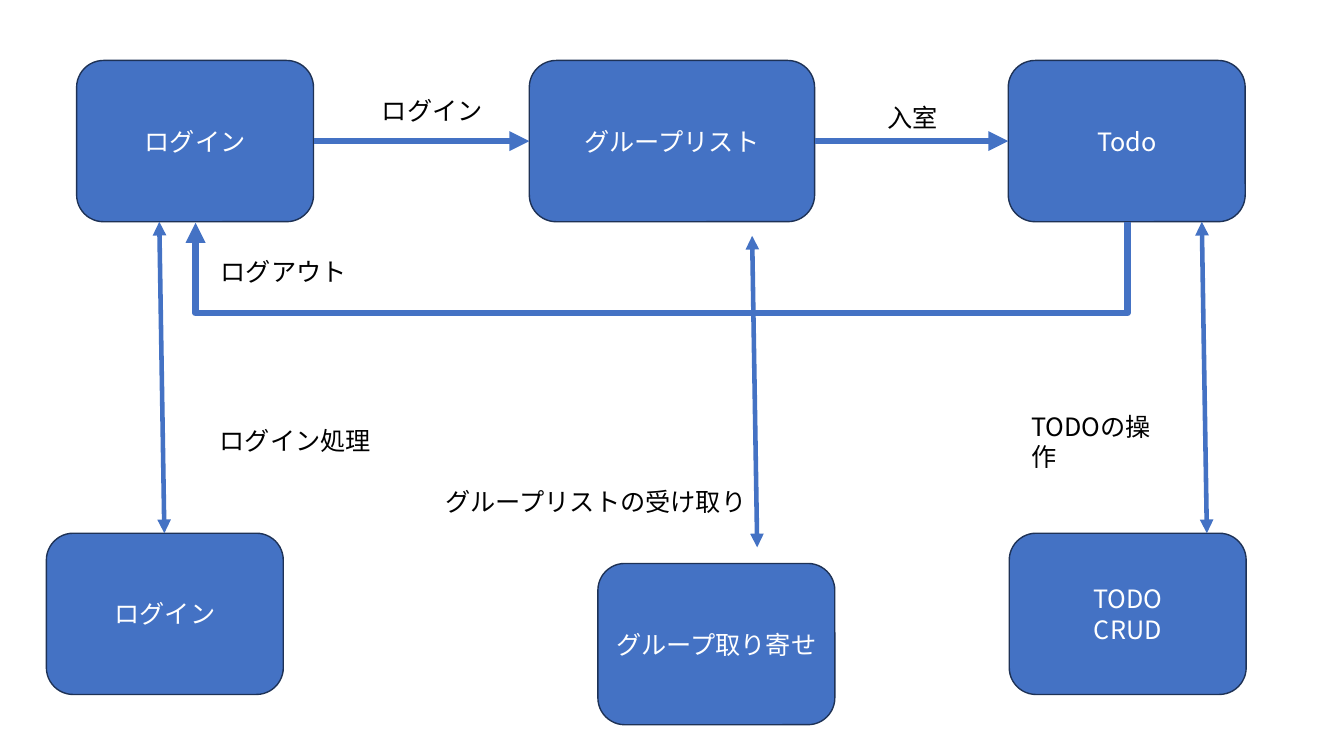
import pptx
import pptx.dml.color
import pptx.enum.shapes
import pptx.enum.text
import pptx.oxml
import pptx.oxml.ns
import pptx.util

BLUE = pptx.dml.color.RGBColor(0x44, 0x72, 0xC4)
NAVY = pptx.dml.color.RGBColor(0x1E, 0x32, 0x56)
WHITE = pptx.dml.color.RGBColor(0xFF, 0xFF, 0xFF)
BLACK = pptx.dml.color.RGBColor(0, 0, 0)
FONT = "Noto Sans CJK JP"
CONNECTOR = pptx.enum.shapes.MSO_CONNECTOR
TOP, LEFT, BOTTOM, RIGHT = range(4)  # connection sites of a box


def cells(count):
    """Length of a number of grid cells; ten cells to the inch."""
    return pptx.util.Inches(count / 10)


def write(frame, text, color=BLACK, size=18, centred=False, wrap=False):
    frame.word_wrap = wrap
    frame.text = text
    paragraph = frame.paragraphs[0]
    if centred:
        paragraph.alignment = pptx.enum.text.PP_ALIGN.CENTER
        frame.vertical_anchor = pptx.enum.text.MSO_ANCHOR.MIDDLE
    for run in paragraph.runs:
        run.font.size = pptx.util.Pt(size)
        run.font.name = FONT
        run.font.color.rgb = color
        east_asian = pptx.oxml.parse_xml(
            f'<a:ea {pptx.oxml.ns.nsdecls("a")} typeface="{FONT}"/>')
        run.font._element.find(pptx.oxml.ns.qn("a:latin")).addnext(east_asian)


class FlowSlide:
    BOX_WIDTH, BOX_HEIGHT = 23.5, 16
    FLOW_WEIGHT, CALL_WEIGHT = 4.75, 3.25

    def __init__(self, slide):
        self.slide = slide

    def box(self, text, col, row, width=BOX_WIDTH):
        shape = self.slide.shapes.add_shape(
            pptx.enum.shapes.MSO_SHAPE.ROUNDED_RECTANGLE,
            cells(col), cells(row), cells(width), cells(self.BOX_HEIGHT))
        shape.shadow.inherit = False
        shape.fill.solid()
        shape.fill.fore_color.rgb = BLUE
        shape.line.color.rgb = NAVY
        shape.line.width = pptx.util.Pt(1)
        write(shape.text_frame, text, color=WHITE, centred=True, wrap=True)
        return shape

    def label(self, text, col, row, width, wrap=False):
        box = self.slide.shapes.add_textbox(
            cells(col), cells(row), cells(width), cells(4))
        write(box.text_frame, text, wrap=wrap)

    def arrow(self, kind, start, end, weight, heads):
        line = self.slide.shapes.add_connector(
            kind, *(cells(value) for value in (*start, *end)))
        line.line.color.rgb = BLUE
        line.line.width = pptx.util.Pt(weight)
        namespace = pptx.oxml.ns.nsdecls("a")
        for head in heads:
            line.line._get_or_add_ln().append(pptx.oxml.parse_xml(
                f'<a:{head} {namespace} type="triangle"/>'))
        line._element.spPr.append(
            pptx.oxml.parse_xml(f"<a:effectLst {namespace}/>"))
        return line

    def flow(self, source, target):
        line = self.arrow(CONNECTOR.STRAIGHT, (0, 0), (1, 1),
                          self.FLOW_WEIGHT, ["tailEnd"])
        line.begin_connect(source, RIGHT)
        line.end_connect(target, LEFT)

    def call(self, col, top, bottom):
        """Two-way arrow, leaning half a cell to the right."""
        self.arrow(CONNECTOR.STRAIGHT, (col + 0.5, bottom), (col, top),
                   self.CALL_WEIGHT, ["headEnd", "tailEnd"])

    def return_path(self, start_col, end_col, row, depth):
        """Down from start_col, across, and up to end_col: a turned elbow."""
        rise = 0.1
        middle, half = (start_col + end_col) / 2, (start_col - end_col) / 2
        line = self.arrow(
            CONNECTOR.ELBOW, (middle - rise / 2, row - half),
            (middle + rise / 2, row + half), self.FLOW_WEIGHT, ["tailEnd"])
        properties = line._element.spPr
        properties.find(pptx.oxml.ns.qn("a:xfrm")).set("rot", "5400000")
        guides = properties.find(".//" + pptx.oxml.ns.qn("a:avLst"))
        guides.append(pptx.oxml.parse_xml(
            f'<a:gd {pptx.oxml.ns.nsdecls("a")} name="adj1" '
            f'fmla="val {round(depth / rise * 100000)}"/>'))


deck = pptx.Presentation()
deck.slide_width = pptx.util.Inches(13.33)
deck.slide_height = pptx.util.Inches(7.5)
flow = FlowSlide(deck.slides.add_slide(deck.slide_layouts[6]))

# Screens
login = flow.box("ログイン", 7.6, 6)
group_list = flow.box("グループリスト", 52.5, 6, width=28.3)
todo = flow.box("Todo", 100, 6)

# Moves between screens
flow.flow(login, group_list)
flow.flow(group_list, todo)
flow.return_path(start_col=111.8, end_col=19.4, row=22.05, depth=9.2)

# Server processes
for process, col, row in (("ログイン", 4.6, 52.9), ("TODO\vCRUD", 100.1, 52.9),
                          ("グループ取り寄せ", 59.3, 55.9)):
    flow.box(process, col, row)

# Calls between screens and processes
for col, top, bottom in ((15.8, 22, 52.9), (74.6, 23.4, 54.3), (119.2, 22, 52.9)):
    flow.call(col, top, bottom)

# Names of moves and calls
for name, col, row, width in (
        ("ログアウト", 20.9, 24.9, 14.6), ("ログイン", 36.9, 9, 12.1),
        ("入室", 87, 9.7, 7.1), ("ログイン処理", 20.8, 41.7, 17.2),
        ("グループリストの受け取り", 43.2, 47.8, 32.3)):
    flow.label(name, col, row, width)
flow.label("TODOの操作", 101.3, 40.3, 16.7 - 2, wrap=True)

deck.save("out.pptx")
